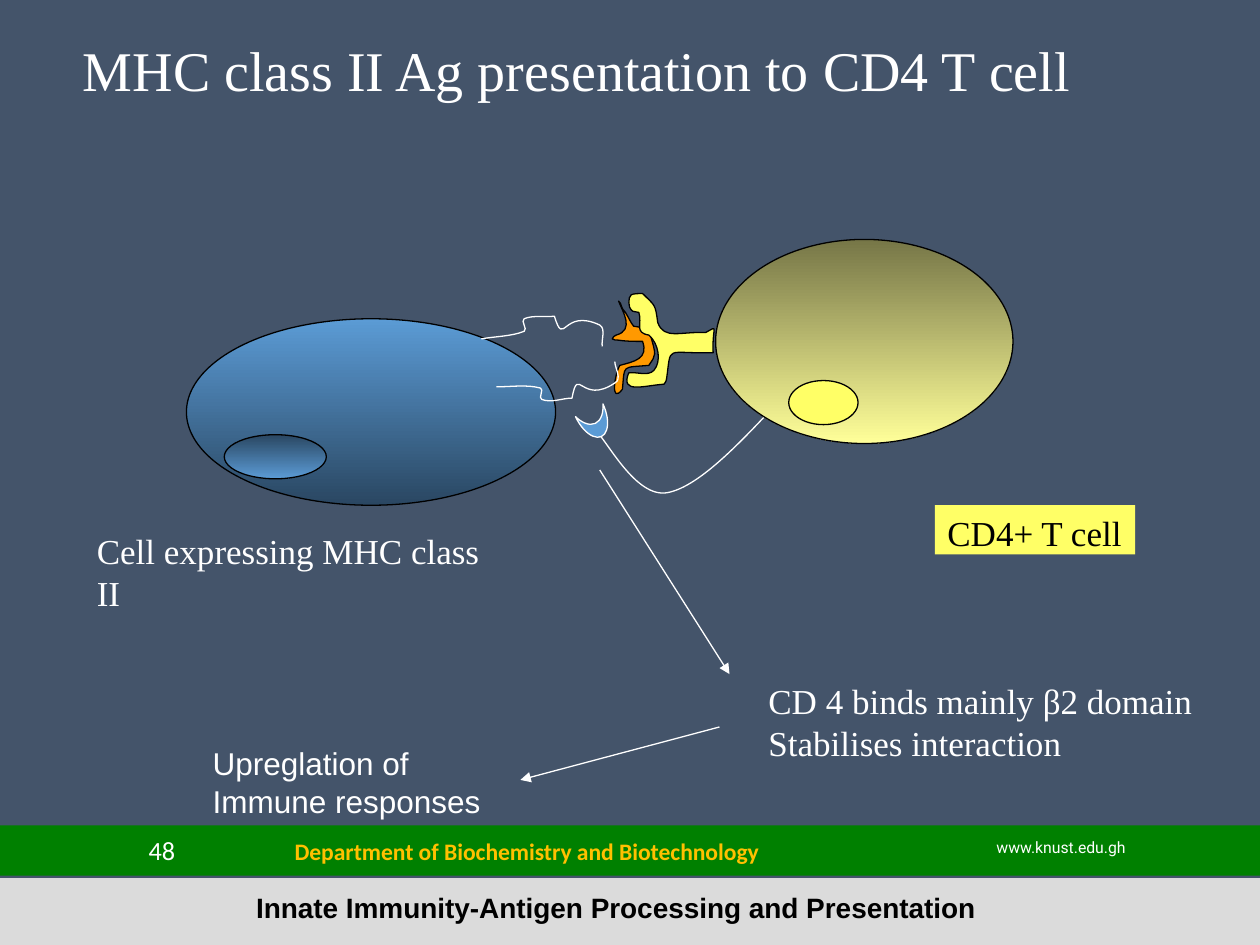
import lxml.etree
import pptx
import pptx.dml.color
import pptx.enum.shapes
import pptx.enum.text
import pptx.oxml.ns
import pptx.util

PX = 9144  # EMU per px, 100 px to the inch
COLORS = {
    "slate": "44546A", "grey": "DBDBDB", "green": "008000", "white": "FFFFFF",
    "black": "000000", "gold": "FFC000", "orange": "FF9900", "yellow": "FFFF66",
    "pale": "FFFF99", "olive": "767647", "blue": "5B9BD5", "navy": "2A4762",
}
SHAPES = pptx.enum.shapes.MSO_SHAPE
ALIGN = pptx.enum.text.PP_ALIGN
ANCHOR = pptx.enum.text.MSO_ANCHOR
SERIF = "Times New Roman"

# Each outline is a start point followed by groups of three Bezier points.
CD4_STALK = [(626, 310), (591, 348), (556, 386), (530, 391),
             (505, 396), (482, 350), (473, 342)]
PEPTIDE = [(491, 239), (494, 247), (504, 262), (489, 266),
           (488, 267), (486, 267), (486, 269), (487, 270), (489, 270), (491, 270),
           (497, 271), (504, 271), (510, 271), (515, 285), (503, 287), (492, 290),
           (488, 296), (484, 322), (494, 309), (496, 289), (493, 292), (515, 290),
           (521, 281), (521, 283), (516, 265), (515, 260), (503, 259), (503, 259),
           (499, 254), (498, 249), (494, 245), (492, 240), (493, 241), (491, 239)]
T_RECEPTOR = [(560, 264), (540, 263), (527, 270), (522, 256),
              (520, 241), (520, 243), (510, 233), (507, 233), (503, 233), (501, 234),
              (498, 236), (499, 245), (501, 246), (502, 248), (505, 247), (507, 248),
              (510, 257), (503, 264), (515, 266), (523, 273), (525, 287), (519, 294),
              (514, 299), (506, 295), (499, 296), (492, 313), (511, 306), (527, 305),
              (528, 304), (529, 302), (529, 301), (533, 273), (527, 281), (566, 280),
              (565, 259), (571, 258), (560, 264)]
MHC_LOWER = [(394, 307), (406, 307), (418, 305), (429, 308),
             (432, 309), (427, 316), (430, 317), (438, 320), (446, 316), (454, 316),
             (459, 289), (461, 322), (488, 304), (494, 301), (488, 292), (488, 287)]
MHC_UPPER = [(382, 269), (393, 267), (406, 267), (416, 263),
             (419, 261), (413, 255), (416, 253), (423, 250), (432, 252), (440, 251),
             (448, 277), (446, 244), (476, 258), (481, 261), (477, 270), (478, 275)]


def rgb(name):
    return pptx.dml.color.RGBColor.from_string(COLORS[name])


def emu(*lengths):
    return [round(length * PX) for length in lengths]


def paint(shape, fill=None, line=None):
    """Fill with one colour name, or a (top, bottom) pair as a gradient."""
    shape.shadow.inherit = False
    if fill is None:
        shape.fill.background()
    elif isinstance(fill, tuple):
        shape.fill.gradient()
        shape.fill.gradient_angle = 270
        for position, (stop, name) in enumerate(zip(shape.fill.gradient_stops, fill)):
            stop.position = position
            stop.color.rgb = rgb(name)
    else:
        shape.fill.solid()
        shape.fill.fore_color.rgb = rgb(fill)
    if line:
        shape.line.color.rgb = rgb(line)
        shape.line.width = pptx.util.Pt(0.75)
    else:
        shape.line.fill.background()


def add_preset(page, kind, place, fill, line=None, rotation=0):
    shape = page.shapes.add_shape(kind, *emu(*place))
    shape.rotation = rotation
    paint(shape, fill, line)


def bend_segments(shape):
    """Turn each three straight segments into one cubic Bezier segment."""
    qn = pptx.oxml.ns.qn
    segments = list(shape._element.iter(qn("a:lnTo")))
    for first in range(0, len(segments), 3):
        curve = lxml.etree.Element(qn("a:cubicBezTo"))
        segments[first].addprevious(curve)
        for segment in segments[first:first + 3]:
            curve.append(segment[0])
            segment.getparent().remove(segment)


def add_curve(page, outline, fill=None, line="white"):
    closed = outline[0] == outline[-1]
    builder = page.shapes.build_freeform(*emu(*outline[0]), scale=1.0)
    builder.add_line_segments([tuple(emu(*point)) for point in outline[1:]], close=closed)
    shape = builder.convert_to_shape()
    bend_segments(shape)
    paint(shape, fill, line)


def add_arrow(page, start, end):
    arrow = page.shapes.add_connector(
        pptx.enum.shapes.MSO_CONNECTOR.STRAIGHT, *emu(*start, *end))
    arrow.line.color.rgb = rgb("white")
    arrow.line.width = pptx.util.Pt(0.75)
    qn = pptx.oxml.ns.qn
    lxml.etree.SubElement(arrow.line._get_or_add_ln(), qn("a:tailEnd"), type="triangle")
    lxml.etree.SubElement(arrow._element.spPr, qn("a:effectLst"))


def add_text(page, place, lines, size, font, color="white", bold=False,
             wrap=False, align=ALIGN.LEFT, anchor=ANCHOR.TOP, fill=None):
    box = page.shapes.add_textbox(*emu(*place))
    if fill:
        box.fill.solid()
        box.fill.fore_color.rgb = rgb(fill)
    frame = box.text_frame
    frame.word_wrap = wrap
    frame.vertical_anchor = anchor
    for index, line in enumerate(lines):
        para = frame.add_paragraph() if index else frame.paragraphs[0]
        para.alignment = align
        span = para.add_run()
        span.text = line
        span.font.name = font
        span.font.size = pptx.util.Pt(size)
        span.font.bold = bold
        span.font.color.rgb = rgb(color)


def add_footer(page):
    add_preset(page, SHAPES.RECTANGLE, (0, 697, 1000, 53), "grey")
    add_preset(page, SHAPES.RECTANGLE, (0, 655, 1000, 40), "green")
    add_text(page, (781, 660, 169, 25), ["www.knust.edu.gh"], 9, "Roboto", wrap=True)
    add_text(page, (106, 658, 43, 34), ["48"], 15, "Calibri", wrap=True,
             align=ALIGN.RIGHT, anchor=ANCHOR.MIDDLE)
    add_text(page, (224, 659, 393, 33), ["Department of Biochemistry and Biotechnology"],
             13.5, "Calibri", "gold", bold=True)
    add_text(page, (169, 702, 640, 61),
             ["Innate Immunity-Antigen Processing and Presentation"],
             16, "Arial", "black", bold=True, wrap=True, align=ALIGN.CENTER)


def add_cells(page):
    add_curve(page, CD4_STALK)
    add_preset(page, SHAPES.MOON, (461, 324, 23, 24), "blue", "white", 245.1)
    add_curve(page, PEPTIDE, "orange", "black")
    add_preset(page, SHAPES.OVAL, (697, 225, 71, 49), "yellow", "black")
    add_preset(page, SHAPES.OVAL, (568, 190, 236, 162), ("olive", "pale"), "black")
    add_curve(page, T_RECEPTOR, "yellow", "black")
    add_preset(page, SHAPES.OVAL, (626, 302, 55, 35), "yellow", "black")
    add_preset(page, SHAPES.OVAL, (148, 253, 293, 148), ("blue", "navy"), "black")
    add_preset(page, SHAPES.OVAL, (178, 345, 81, 35), ("navy", "blue"), "black")
    add_curve(page, MHC_LOWER)
    add_curve(page, MHC_UPPER)


def add_labels(page):
    add_text(page, (56, 23, 906, 57), ["MHC class II Ag presentation to CD4 T cell"],
             32, SERIF, wrap=True)
    add_text(page, (742, 401, 159, 39), ["CD4+ T cell"], 20, SERIF, "black", fill="yellow")
    add_text(page, (67, 415, 348, 39), ["Cell expressing MHC class II"], 20, SERIF, wrap=True)
    add_text(page, (600, 534, 357, 69),
             ["CD 4 binds mainly β2 domain", "Stabilises interaction"], 20, SERIF)
    add_text(page, (159, 586, 233, 63), ["Upreglation of", "Immune responses"], 18, "Arial")
    add_arrow(page, (476, 373), (579, 535))
    add_arrow(page, (571, 577), (413, 619))


def main():
    deck = pptx.Presentation()
    deck.slide_width, deck.slide_height = emu(1000, 750)
    page = deck.slides.add_slide(deck.slide_layouts[6])
    page.background.fill.solid()
    page.background.fill.fore_color.rgb = rgb("slate")
    add_footer(page)
    add_cells(page)
    add_labels(page)
    deck.save("out.pptx")


if __name__ == "__main__":
    main()
